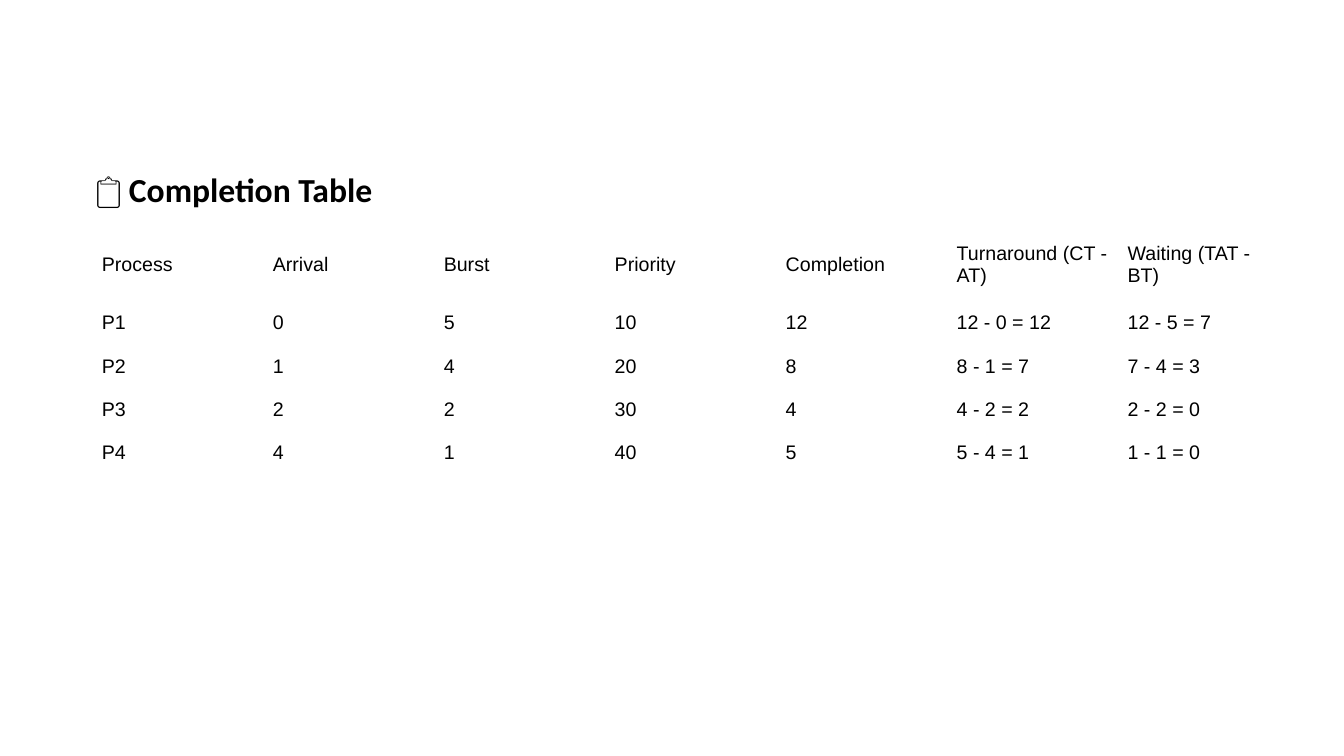
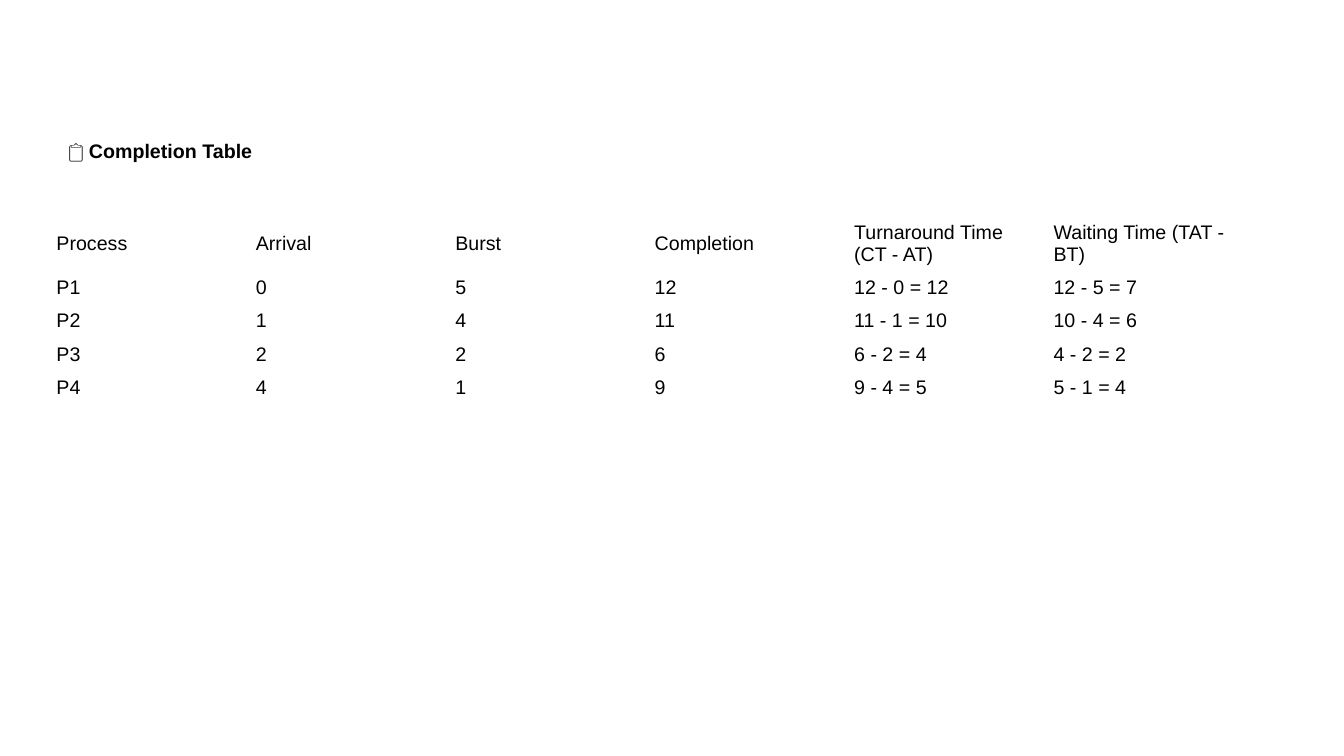
import pptx
import pptx.dml.color
import pptx.enum.text
import pptx.util

Inches = pptx.util.Inches
Pt = pptx.util.Pt

# Shared style
INK = "000000"
TABLE_FONT = "Arial"
TABLE_SIZE = 14
TABLE_WIDTH = 11.87
TITLE_ONLY = 5


def rgb(hex_value):
    return pptx.dml.color.RGBColor.from_string(hex_value)


def add_run(paragraph, text, font, size, bold=False):
    run = paragraph.add_run()
    run.text = text
    run.font.name = font
    run.font.size = Pt(size)
    run.font.bold = bold
    run.font.color.rgb = rgb(INK)


def place_heading(slide, box, font, size):
    """Fill the title placeholder with the icon and the bold heading."""
    heading = slide.shapes.title
    heading.left, heading.top, heading.width, heading.height = map(Inches, box)
    frame = heading.text_frame
    frame.auto_size = pptx.enum.text.MSO_AUTO_SIZE.NONE
    frame.word_wrap = True
    frame.vertical_anchor = pptx.enum.text.MSO_ANCHOR.TOP
    frame.margin_left = Inches(0.22)
    paragraph = frame.paragraphs[0]
    paragraph.alignment = pptx.enum.text.PP_ALIGN.LEFT
    add_run(paragraph, "📋 ", font, size)
    add_run(paragraph, "Completion Table", font, size, bold=True)


def place_schedule(slide, left, top, header_height, row_height, rows):
    """Add a plain table with equal columns and a taller header row."""
    column_count = len(rows[0])
    heights = [header_height] + [row_height] * (len(rows) - 1)
    schedule = slide.shapes.add_table(
        len(rows), column_count, Inches(left), Inches(top),
        Inches(TABLE_WIDTH), Inches(sum(heights))).table
    schedule.first_row = False
    schedule.horz_banding = False
    for column in schedule.columns:
        column.width = Inches(TABLE_WIDTH / column_count)
    for row, height, values in zip(schedule.rows, heights, rows):
        row.height = Inches(height)
        for cell, value in zip(row.cells, values):
            cell.fill.background()
            cell.vertical_anchor = pptx.enum.text.MSO_ANCHOR.MIDDLE
            add_run(cell.text_frame.paragraphs[0], value, TABLE_FONT, TABLE_SIZE)


def add_completion_slide(deck, heading, schedule):
    slide = deck.slides.add_slide(deck.slide_layouts[TITLE_ONLY])
    place_heading(slide, **heading)
    place_schedule(slide, **schedule)


# Schedules
PRIORITY_ROWS = [
    ["Process", "Arrival", "Burst", "Priority", "Completion",
     "Turnaround (CT - AT)", "Waiting (TAT - BT)"],
    ["P1", "0", "5", "10", "12", "12 - 0 = 12", "12 - 5 = 7"],
    ["P2", "1", "4", "20", "8", "8 - 1 = 7", "7 - 4 = 3"],
    ["P3", "2", "2", "30", "4", "4 - 2 = 2", "2 - 2 = 0"],
    ["P4", "4", "1", "40", "5", "5 - 4 = 1", "1 - 1 = 0"],
]
BURST_ROWS = [
    ["Process", "Arrival", "Burst", "Completion",
     "Turnaround Time (CT - AT)", "Waiting Time (TAT - BT)"],
    ["P1", "0", "5", "12", "12 - 0 = 12", "12 - 5 = 7"],
    ["P2", "1", "4", "11", "11 - 1 = 10", "10 - 4 = 6"],
    ["P3", "2", "2", "6", "6 - 2 = 4", "4 - 2 = 2"],
    ["P4", "4", "1", "9", "9 - 4 = 5", "5 - 1 = 4"],
]


def main():
    deck = pptx.Presentation()
    deck.slide_width = Inches(13.33)
    deck.slide_height = Inches(7.5)

    # Schedule with priorities
    add_completion_slide(
        deck,
        heading=dict(box=(0.73, 1.63, 11.87, 0.5), font="Calibri", size=24),
        schedule=dict(left=0.91, top=2.26, header_height=0.73,
                      row_height=0.43, rows=PRIORITY_ROWS))

    # Schedule without priorities
    add_completion_slide(
        deck,
        heading=dict(box=(0.46, 1.33, 9.54, 0.34), font="Arial", size=14),
        schedule=dict(left=0.46, top=2.14, header_height=0.55,
                      row_height=0.33, rows=BURST_ROWS))

    deck.save("out.pptx")


if __name__ == "__main__":
    main()
